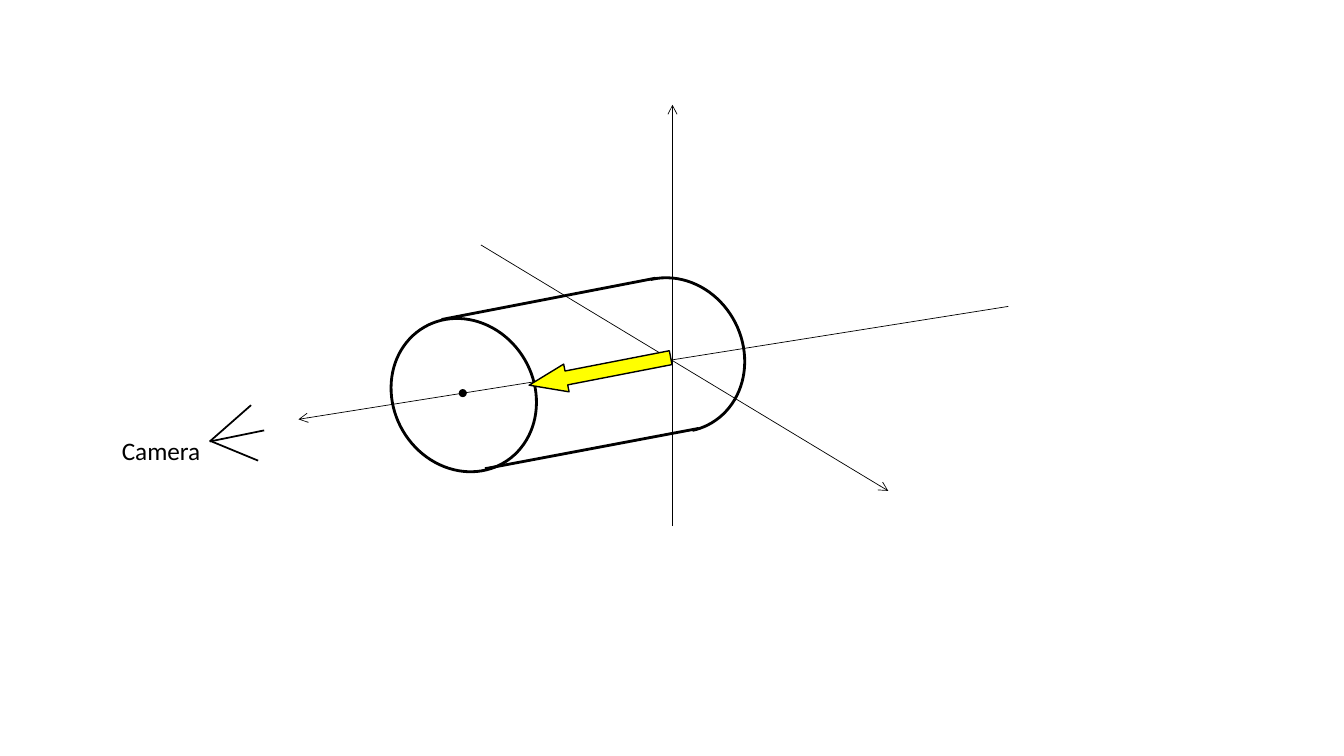
from lxml import etree
from pptx import Presentation
from pptx.dml.color import RGBColor
from pptx.enum.shapes import MSO_CONNECTOR, MSO_SHAPE
from pptx.enum.text import MSO_AUTO_SIZE
from pptx.oxml.ns import qn
from pptx.util import Inches, Pt

STRAIGHT = MSO_CONNECTOR.STRAIGHT
ARC, OVAL, DOWN_ARROW = MSO_SHAPE.ARC, MSO_SHAPE.OVAL, MSO_SHAPE.DOWN_ARROW
FIT_SHAPE = MSO_AUTO_SIZE.SHAPE_TO_FIT_TEXT
COLORS = {"ink": "000000", "arrow": "FFFF00"}

prs = Presentation()
prs.slide_width, prs.slide_height = Inches(13.33), Inches(7.5)
s = prs.slides.add_slide(prs.slide_layouts[6])


def add_line(parent, start, end, width, arrow=False):
    ln = parent.add_connector(STRAIGHT, *map(Inches, start + end))
    ln.line.color.rgb = RGBColor.from_string(COLORS["ink"])
    ln.line.width = Pt(width)
    if arrow:
        etree.SubElement(ln.line._ln, qn("a:tailEnd"), type="arrow")
    etree.SubElement(ln._element.spPr, qn("a:effectLst"))


def add_solid(kind, box, rotation=0, fill=None, width=None, adjustments=()):
    sp = s.shapes.add_shape(kind, *map(Inches, box))
    sp.shadow.inherit = False
    sp.rotation = rotation
    for i, value in enumerate(adjustments):
        sp.adjustments[i] = value
    if fill:
        sp.fill.solid()
        sp.fill.fore_color.rgb = RGBColor.from_string(COLORS[fill])
    else:
        sp.fill.background()
    if width:
        sp.line.color.rgb = RGBColor.from_string(COLORS["ink"])
        sp.line.width = Pt(width)
    else:
        sp.line.fill.background()


add_solid(ARC, (5.97, 2.74, 1.4, 1.56), 333.2, width=2, adjustments=(168.431, 61.161))

axes = [((4.77, 2.43), (8.81, 4.87)), ((6.67, 5.22), (6.67, 1.04)), ((10, 3.04), (2.96, 4.16))]
for start, end in axes:
    add_line(s.shapes, start, end, 0.5, arrow=True)

tb = s.shapes.add_textbox(Inches(1.11), Inches(4.27), Inches(0.99), Inches(0.4))
tf = tb.text_frame
tf.word_wrap = False
tf.auto_size = FIT_SHAPE
r = tf.paragraphs[0].add_run()
r.text = "Camera"
r.font.name = "Calibri"
r.font.size = Pt(18)
r.font.color.rgb = RGBColor.from_string(COLORS["ink"])

camera = s.shapes.add_group_shape()
camera_rays = [((2.49, 4.02), (2.08, 4.38)), ((2.56, 4.57), (2.1, 4.38)), ((2.08, 4.38), (2.62, 4.27))]
for start, end in camera_rays:
    add_line(camera.shapes, start, end, 1.25)

add_solid(OVAL, (3.9, 3.14, 1.4, 1.56), 329.7, width=2)
cylinder_sides = [((6.93, 4.25), (4.81, 4.65)), ((6.5, 2.76), (4.38, 3.17))]
for start, end in cylinder_sides:
    add_line(s.shapes, start, end, 2)

add_solid(DOWN_ARROW, (5.81, 2.97, 0.28, 1.43), 79, fill="arrow", width=1, adjustments=(0.5, 1.342))
add_solid(OVAL, (4.55, 3.86, 0.08, 0.08), fill="ink")

prs.save("out.pptx")
